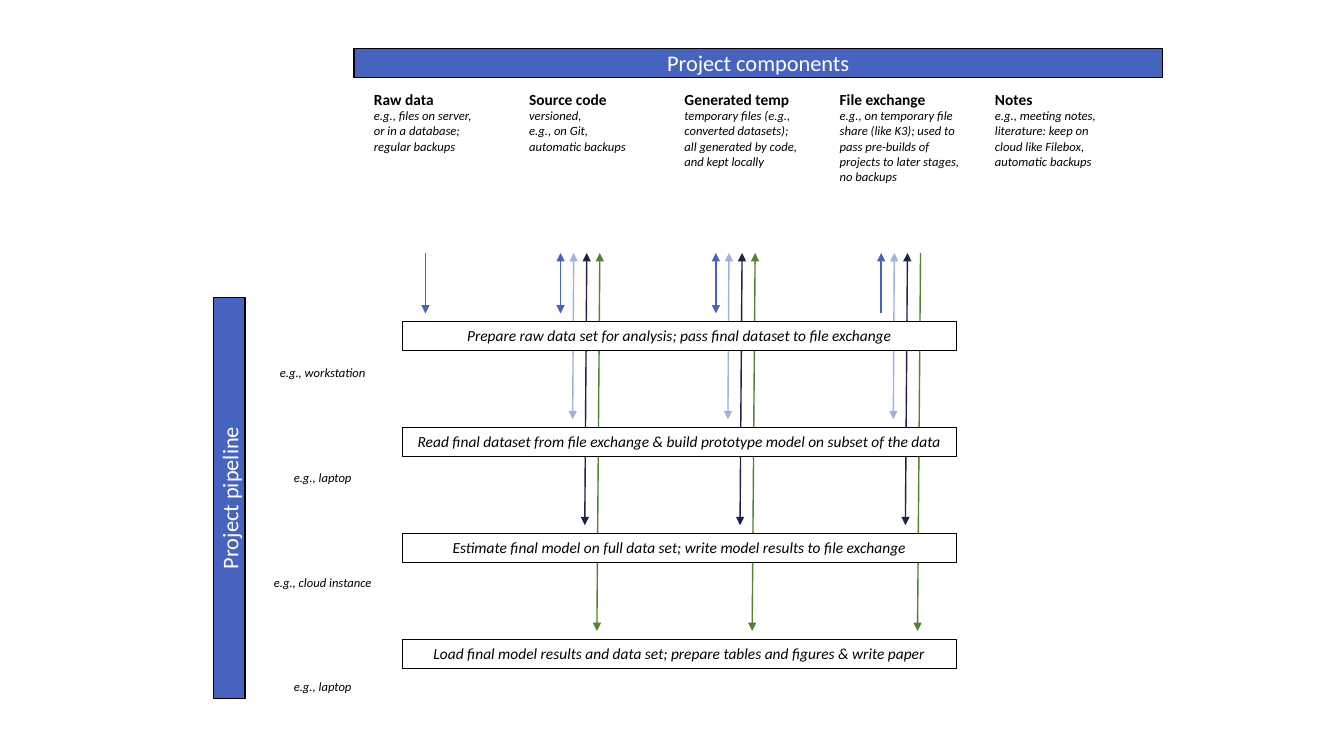
from dataclasses import dataclass

from lxml import etree
from pptx import Presentation
from pptx.dml.color import RGBColor
from pptx.enum.shapes import MSO_CONNECTOR, MSO_SHAPE
from pptx.enum.text import MSO_ANCHOR, MSO_AUTO_SIZE, PP_ALIGN
from pptx.oxml.ns import qn
from pptx.util import Inches, Pt

RECT = MSO_SHAPE.RECTANGLE
STRAIGHT = MSO_CONNECTOR.STRAIGHT
TOP, MIDDLE = MSO_ANCHOR.TOP, MSO_ANCHOR.MIDDLE
LEFT, CENTER = PP_ALIGN.LEFT, PP_ALIGN.CENTER
FIT = MSO_AUTO_SIZE.SHAPE_TO_FIT_TEXT


@dataclass(frozen=True)
class Theme:
    font: str = "Calibri"
    bar: str = "4563BF"
    black: str = "000000"
    white: str = "FFFFFF"
    stages: tuple = ("4563BF", "A1B0DD", "192446", "548235")
    bar_size: int = 16
    head_size: int = 11
    note_size: int = 9


THEME = Theme()

# Grid in inches: a column per component, a row per pipeline stage
COL_X, COL_STEP, COL_Y = 3.61, 1.54, 0.84
ROW_Y, ROW_STEP = 3.19, 1.05
STAGE_X, STAGE_W, BAR_H = 3.99, 5.5, 0.29
PLACE_X, PLACE_Y, PLACE_STEP, PLACE_H = 3.2, 3.57, 1.04, 0.25
ARROW_Y, ARROW_GAP, LANE_STEP, LEAN = 2.51, 0.08, 0.13, 0.01

# Title, box width, wrapping, lines
COMPONENTS = [
    ("Raw data", 1.19, False,
     ["e.g., files on server,", "or in a database;", "regular backups"]),
    ("Source code", 1.2, False,
     ["versioned, ", "e.g., on Git,", "automatic backups"]),
    ("Generated temp", 1.33, False,
     ["temporary files (e.g., ", "converted datasets);",
      "all generated by code,", "and kept locally"]),
    ("File exchange", 1.4, False,
     ["e.g., on temporary file ", "share (like K3); used to ",
      "pass pre-builds of ", "projects to later stages,", "no backups"]),
    ("Notes", 1.2, True,
     ["e.g., meeting notes, literature: keep on cloud like Filebox,",
      "automatic backups"]),
]

# Task, place, width of the place label
STAGES = [
    ("Prepare raw data set for analysis; pass final dataset to file exchange",
     "e.g., workstation", 1.06),
    ("Read final dataset from file exchange & build prototype model on subset of the data",
     "e.g., laptop", 0.78),
    ("Estimate final model on full data set; write model results to file exchange",
     "e.g., cloud instance", 1.18),
    ("Load final model results and data set; prepare tables and figures & write paper",
     "e.g., laptop", 0.78),
]

# First lane, then the arrowheads of each stage's arrow
UP, DOWN, BOTH = ("headEnd",), ("tailEnd",), ("headEnd", "tailEnd")
FLOWS = [
    (4.22, [DOWN]),
    (5.56, [BOTH, BOTH, BOTH, BOTH]),
    (7.1, [BOTH, BOTH, BOTH, BOTH]),
    (8.74, [UP, BOTH, BOTH, DOWN]),
]


def rgb(value):
    return RGBColor.from_string(value)


def box(x, y, w, h):
    return [Inches(v) for v in (x, y, w, h)]


def write(p, text, *, size, color=THEME.black, bold=False, italic=False):
    r = p.add_run()
    r.text = text
    r.font.name = THEME.font
    r.font.size = Pt(size)
    r.font.color.rgb = rgb(color)
    r.font.bold = bold
    r.font.italic = italic


def add_text(slide, area, *, wrap=False, align=LEFT):
    """Add a fitted text box and return its first paragraph."""
    tf = slide.shapes.add_textbox(*box(*area)).text_frame
    tf.word_wrap = wrap
    tf.auto_size = FIT
    tf.paragraphs[0].alignment = align
    return tf.paragraphs[0]


def add_rect(slide, area, text, *, fill, line, anchor=MIDDLE, **style):
    s = slide.shapes.add_shape(RECT, *box(*area))
    s.shadow.inherit = False
    s.fill.solid()
    s.fill.fore_color.rgb = rgb(fill)
    s.line.color.rgb = rgb(THEME.black)
    s.line.width = Pt(line)
    s.text_frame.word_wrap = True
    s.text_frame.vertical_anchor = anchor
    p = s.text_frame.paragraphs[0]
    p.alignment = CENTER
    write(p, text, **style)
    return s


def add_bar(slide, area, text):
    return add_rect(slide, area, text, fill=THEME.bar, line=1,
                    size=THEME.bar_size, color=THEME.white)


def add_component(slide, col, title, width, wrap, lines):
    rows = len(lines) + wrap * 2
    area = (COL_X + col * COL_STEP, COL_Y, width, 0.29 + 0.15 * rows)
    p = add_text(slide, area, wrap=wrap)
    write(p, title, size=THEME.head_size, bold=True)
    for line in lines:
        p.add_line_break()
        write(p, line, size=THEME.note_size, italic=True)


def add_arrow(shapes, x, stage, ends):
    """Draw from the components down to just above a stage's box."""
    x += stage * LANE_STEP
    bottom = ROW_Y + stage * ROW_STEP - ARROW_GAP
    s = shapes.add_connector(
        STRAIGHT, *box(x, ARROW_Y, x - stage * LEAN, bottom))
    s.line.color.rgb = rgb(THEME.stages[stage])
    s.line.width = Pt(1)
    ln = s.line._get_or_add_ln()
    for end in ends:
        etree.SubElement(ln, qn(f"a:{end}"), type="triangle")
    etree.SubElement(s.element.spPr, qn("a:effectLst"))


def add_stage(slide, row, task, place, width):
    s = add_rect(slide, (STAGE_X, ROW_Y + row * ROW_STEP, STAGE_W, BAR_H), task,
                 fill=THEME.white, line=0.75, anchor=TOP,
                 size=THEME.head_size, italic=True)
    s.text_frame.auto_size = FIT
    area = (PLACE_X - width / 2, PLACE_Y + row * PLACE_STEP, width, PLACE_H)
    write(add_text(slide, area, align=CENTER), place,
          size=THEME.note_size, italic=True)


def main():
    prs = Presentation()
    prs.slide_width, prs.slide_height = Inches(13.33), Inches(7.5)
    slide = prs.slides.add_slide(prs.slide_layouts[6])

    add_bar(slide, (3.51, 0.48, 8.02, BAR_H), "Project components")
    s = add_bar(slide, (2.12, 2.95, 0.31, 3.98), "Project pipeline")
    s.element.txBody.bodyPr.set("vert", "vert270")

    for col, component in enumerate(COMPONENTS):
        add_component(slide, col, *component)
    for x, arrows in FLOWS:
        shapes = slide.shapes
        if len(arrows) > 1:
            shapes = shapes.add_group_shape().shapes
        for stage, ends in enumerate(arrows):
            add_arrow(shapes, x, stage, ends)
    for row, stage in enumerate(STAGES):
        add_stage(slide, row, *stage)

    prs.save("out.pptx")


if __name__ == "__main__":
    main()
